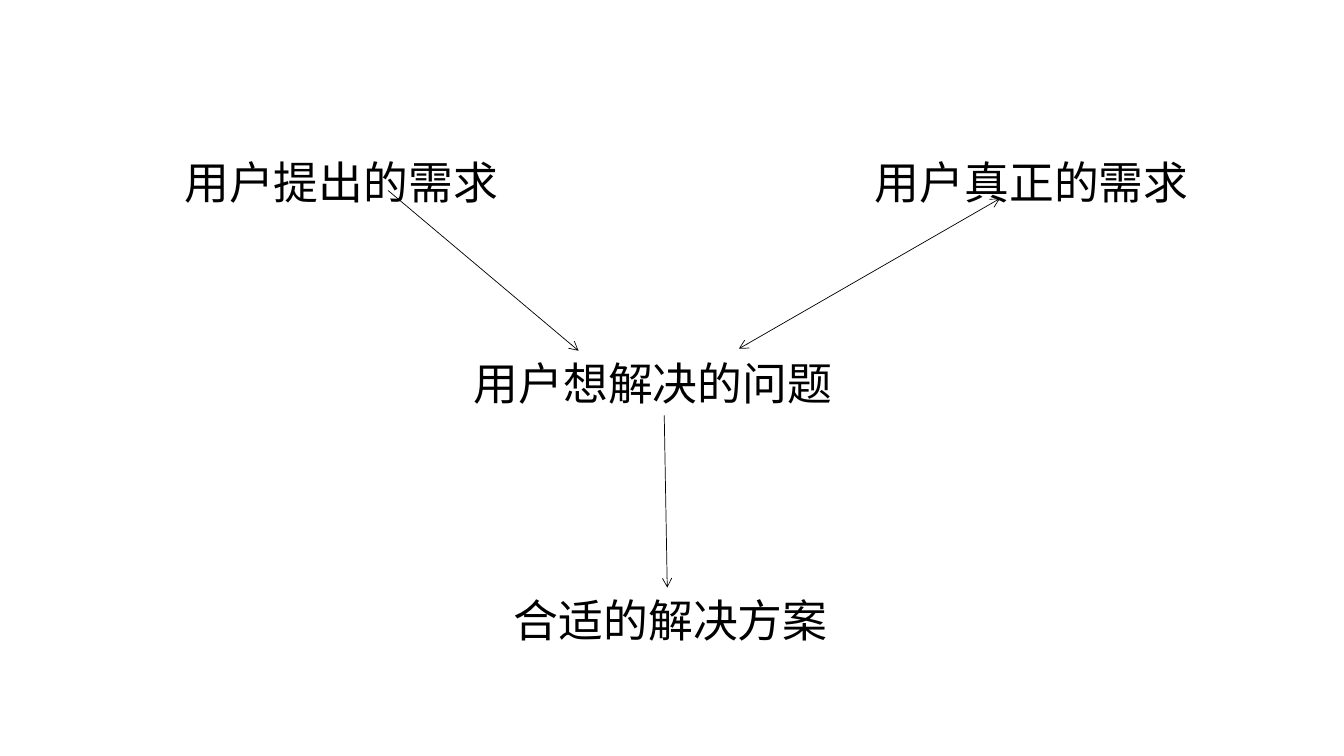
from pptx import Presentation
from pptx.dml.color import RGBColor
from pptx.enum.shapes import MSO_CONNECTOR
from pptx.enum.text import MSO_AUTO_SIZE
from pptx.oxml.ns import qn
from pptx.util import Pt
from lxml.etree import SubElement

BLACK = RGBColor(0x00, 0x00, 0x00)
LABEL_HEIGHT = 46.08
TOP_ROW = 107.28
PROBLEM_TOP = 250.56
SOLUTION_TOP = 419.76


def add_label(slide, text, left, top, width, size=32, font="Calibri", color=BLACK):
    box = slide.shapes.add_textbox(Pt(left), Pt(top), Pt(width), Pt(LABEL_HEIGHT))
    tf = box.text_frame
    tf.word_wrap = True
    tf.auto_size = MSO_AUTO_SIZE.SHAPE_TO_FIT_TEXT
    r = tf.paragraphs[0].add_run()
    r.text = text
    r.font.size = Pt(size)
    r.font.name = font
    r.font.color.rgb = color
    return box


def add_arrow(slide, start, end, both_ways=False):
    """Draw a thin line with an open arrowhead at its end, or at both ends."""
    points = [Pt(v) for v in (*start, *end)]
    line = slide.shapes.add_connector(MSO_CONNECTOR.STRAIGHT, *points)
    line.line.color.rgb = BLACK
    line.line.width = Pt(0.5)
    ln = line.line._get_or_add_ln()
    for tag in ("a:headEnd", "a:tailEnd") if both_ways else ("a:tailEnd",):
        SubElement(ln, qn(tag), type="arrow")
    SubElement(line._element.spPr, qn("a:effectLst"))
    return line


def main():
    prs = Presentation()
    prs.slide_width, prs.slide_height = Pt(960), Pt(540)
    slide = prs.slides.add_slide(prs.slide_layouts[6])

    add_arrow(slide, (277.2, 136.08), (413.28, PROBLEM_TOP))
    add_label(slide, "用户提出的需求", 124.56, TOP_ROW, 251.28)
    problem = add_label(slide, "用户想解决的问题", 331.2, PROBLEM_TOP, 286.56)
    add_arrow(slide, (527.76, 249.12), (714.24, 141.84), both_ways=True)
    add_label(slide, "用户真正的需求", 617.76, TOP_ROW, 337.68)
    to_solution = add_arrow(slide, (474.48, PROBLEM_TOP + LABEL_HEIGHT),
                            (476.64, SOLUTION_TOP))
    to_solution.begin_connect(problem, 2)
    add_label(slide, "合适的解决方案", 360, SOLUTION_TOP, 329.04)

    prs.save("out.pptx")


if __name__ == "__main__":
    main()
